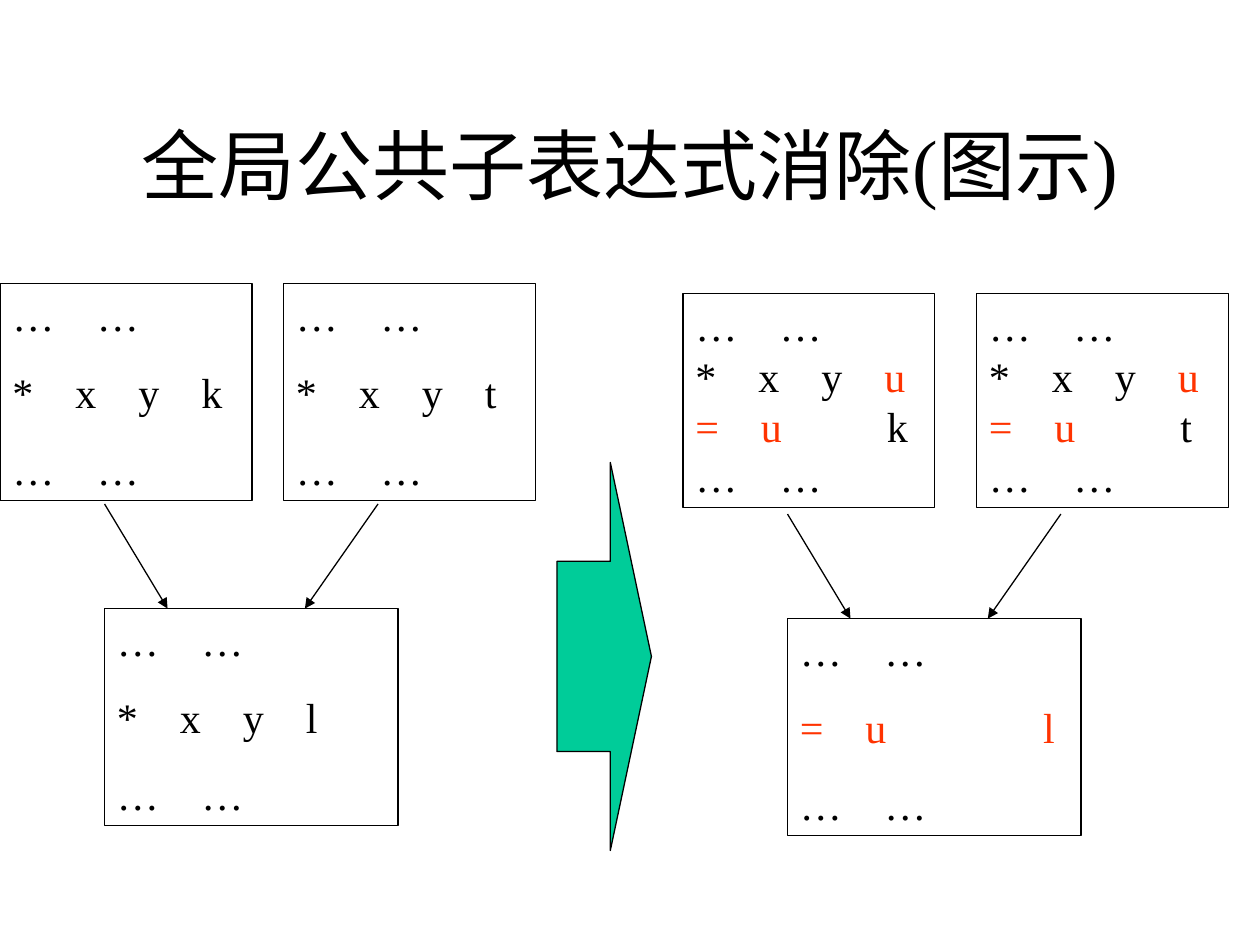
from lxml import etree
from pptx import Presentation
from pptx.dml.color import RGBColor
from pptx.enum.shapes import MSO_CONNECTOR, MSO_SHAPE
from pptx.enum.text import MSO_ANCHOR, PP_ALIGN
from pptx.oxml.ns import qn
from pptx.util import Inches, Pt

RECTANGLE = MSO_SHAPE.RECTANGLE
RIGHT_ARROW = MSO_SHAPE.RIGHT_ARROW
STRAIGHT = MSO_CONNECTOR.STRAIGHT
TOP, MIDDLE = MSO_ANCHOR.TOP, MSO_ANCHOR.MIDDLE
LEFT, CENTER = PP_ALIGN.LEFT, PP_ALIGN.CENTER

BLACK = RGBColor(0x00, 0x00, 0x00)
RED = RGBColor(0xFF, 0x33, 0x00)
GREEN = RGBColor(0x00, 0xCC, 0x99)
FONT = "Times New Roman"

DOTS = ([0.67], [("…\t…", BLACK)])
PRODUCT_STOPS = [0.5, 1, 1.5]
COPY_STOPS = [0.52, 1.52]


def write_span(para, text, size=24, color=BLACK):
    span = para.add_run()
    span.text = text
    span.font.name = FONT
    span.font.size = Pt(size)
    span.font.color.rgb = color


def set_tabs(para, stops):
    tab_list = etree.SubElement(para._p.get_or_add_pPr(), qn("a:tabLst"))
    for stop in stops:
        etree.SubElement(tab_list, qn("a:tab"), pos=str(Inches(stop)), algn="l")


def original_rows(target):
    return [DOTS, (PRODUCT_STOPS, [(f"*\tx\ty\t{target}", BLACK)]), DOTS]


def shared_rows(target):
    return [
        DOTS,
        (PRODUCT_STOPS, [("*\tx\ty\t", BLACK), ("u", RED)]),
        (COPY_STOPS, [("=\tu", RED), (f"\t{target}", BLACK)]),
        DOTS,
    ]


class Diagram:
    def __init__(self, page):
        self.page = page
        self.line_width = Pt(0.75)

    def title(self, text):
        box = self.page.shapes.add_textbox(Inches(0.75), Inches(0.67), Inches(8.5), Inches(1.25))
        frame = box.text_frame
        frame.word_wrap = True
        frame.vertical_anchor = MIDDLE
        para = frame.paragraphs[0]
        para.alignment = CENTER
        write_span(para, text, size=44)

    def shape(self, kind, left, top, width, height):
        shape = self.page.shapes.add_shape(
            kind, Inches(left), Inches(top), Inches(width), Inches(height))
        shape.shadow.inherit = False
        shape.line.color.rgb = BLACK
        shape.line.width = self.line_width
        return shape

    def code_block(self, left, top, width, height, rows, gap=0):
        box = self.shape(RECTANGLE, left, top, width, height)
        box.fill.background()
        frame = box.text_frame
        frame.word_wrap = True
        frame.vertical_anchor = TOP
        for index, (stops, spans) in enumerate(rows):
            para = frame.add_paragraph() if index else frame.paragraphs[0]
            para.alignment = LEFT
            para.space_before = Pt(gap if index else 0)
            set_tabs(para, stops)
            for text, color in spans:
                write_span(para, text, color=color)

    def flow_arrow(self, start, end):
        arrow = self.page.shapes.add_connector(STRAIGHT, *map(Inches, start + end))
        arrow.line.color.rgb = BLACK
        arrow.line.width = self.line_width
        properties = arrow._element.spPr
        etree.SubElement(properties.find(qn("a:ln")), qn("a:tailEnd"), type="triangle")
        etree.SubElement(properties, qn("a:effectLst"))

    def flow_graph(self, left, top, second, height, upper, lower, gap=0):
        for offset, rows in zip((0, second), upper):
            self.code_block(left + offset, top, 2, height, rows, gap)
        self.code_block(left + 0.83, top + 2.58, 2.33, 1.72, lower, 15)
        for start, end in ((0.83, 1.33), (3, 2.42)):
            self.flow_arrow((left + start, top + 1.75), (left + end, top + 2.58))

    def big_arrow(self):
        arrow = self.shape(RIGHT_ARROW, 4.42, 3.67, 0.75, 3.08)
        arrow.adjustments[0] = 0.49
        arrow.adjustments[1] = 0.435
        arrow.fill.solid()
        arrow.fill.fore_color.rgb = GREEN


def main():
    deck = Presentation()
    deck.slide_width, deck.slide_height = Inches(10), Inches(7.5)
    diagram = Diagram(deck.slides.add_slide(deck.slide_layouts[6]))
    diagram.title("全局公共子表达式消除(图示)")
    diagram.flow_graph(0, 2.25, 2.25, 1.72,
                       [original_rows("k"), original_rows("t")], original_rows("l"), gap=15)
    diagram.flow_graph(5.42, 2.33, 2.33, 1.7, [shared_rows("k"), shared_rows("t")],
                       [DOTS, ([0.52, 1.93], [("=\tu\tl", RED)]), DOTS])
    diagram.big_arrow()
    deck.save("out.pptx")


if __name__ == "__main__":
    main()
